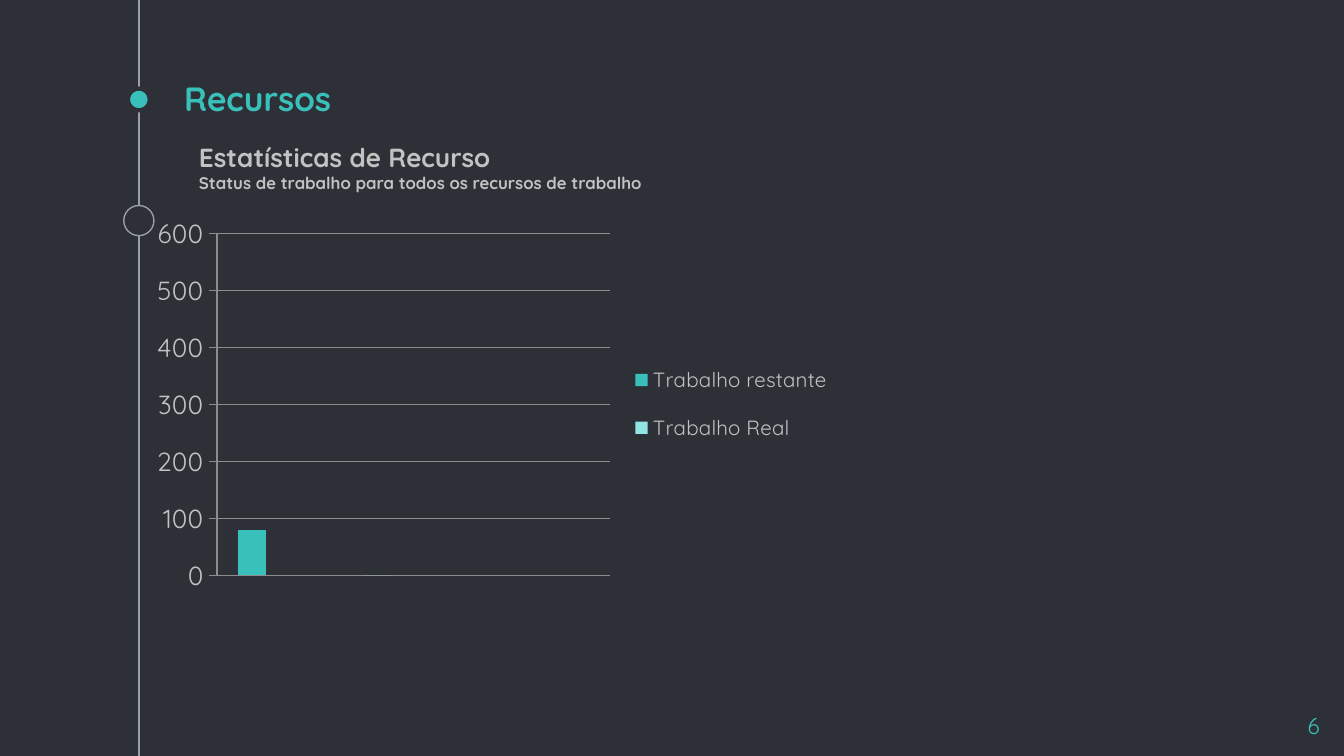
"""Build the resource statistics slide."""
import dataclasses

import lxml.etree
import pptx
import pptx.chart.data
import pptx.dml.color
import pptx.enum.chart
import pptx.enum.shapes
import pptx.enum.text
import pptx.oxml
import pptx.oxml.ns
import pptx.util

Cm = pptx.util.Cm
Pt = pptx.util.Pt
Align = pptx.enum.text.PP_ALIGN
Anchor = pptx.enum.text.MSO_ANCHOR


@dataclasses.dataclass(frozen=True)
class Theme:
    """Colours, font and type sizes of the slide."""
    background: str = "2E3037"
    accent: str = "39C0BA"
    accent_light: str = "90E6E2"
    text: str = "C2C2C2"
    rail: str = "999FA9"
    grid: str = "8C8C8C"
    font: str = "Quicksand"
    title: int = 18
    heading: int = 14
    axis: int = 14
    number: int = 12
    legend: int = 11
    caption: int = 9


THEME = Theme()


def rgb(code):
    """Turn a hex code into a colour."""
    return pptx.dml.color.RGBColor.from_string(code)


def style_font(font, size, color, bold=False):
    """Apply the theme font with a size, colour and weight."""
    font.name = THEME.font
    font.size = Pt(size)
    font.bold = bold
    font.color.rgb = rgb(color)


def style_line(line, color, width):
    """Give a line a solid colour and a width in points."""
    line.color.rgb = rgb(color)
    line.width = Pt(width)


def add_text(slide, box, lines, color, bold=False, vertical_margin=0.25,
             anchor=Anchor.TOP, alignment=Align.LEFT):
    """Place a text box with one paragraph per (text, size) pair."""
    shape = slide.shapes.add_textbox(*map(Cm, box))
    text_frame = shape.text_frame
    text_frame.word_wrap = True
    text_frame.vertical_anchor = anchor
    text_frame.margin_left = text_frame.margin_right = Cm(0.25)
    text_frame.margin_top = text_frame.margin_bottom = Cm(vertical_margin)
    text_frame.text = "\n".join(text for text, size in lines)
    for paragraph, (text, size) in zip(text_frame.paragraphs, lines):
        paragraph.alignment = alignment
        style_font(paragraph.runs[0].font, size, color, bold)


def add_circle(slide, center_x, center_y, diameter, fill, outline, width):
    """Place a circle around a centre point."""
    left, top = center_x - diameter / 2, center_y - diameter / 2
    circle = slide.shapes.add_shape(
        pptx.enum.shapes.MSO_SHAPE.OVAL,
        Cm(left), Cm(top), Cm(diameter), Cm(diameter))
    circle.shadow.inherit = False
    circle.fill.solid()
    circle.fill.fore_color.rgb = rgb(fill)
    style_line(circle.line, outline, width)


def add_timeline(slide, box):
    """Draw the vertical rail in the middle of the box with its two markers."""
    left, top, width, height = box
    center = left + width / 2
    rail = slide.shapes.add_connector(
        pptx.enum.shapes.MSO_CONNECTOR.STRAIGHT,
        Cm(center), Cm(top), Cm(center), Cm(top + height))
    style_line(rail.line, THEME.rail, 0.75)
    lxml.etree.SubElement(rail._element.spPr, pptx.oxml.ns.qn("a:effectLst"))
    add_circle(slide, center, top + 1.88, 0.41,
               THEME.accent, THEME.background, 2.25)
    add_circle(slide, center, top + 4.17, 0.57,
               THEME.background, THEME.rail, 0.75)


def set_layout(parent, before, inner, **fractions):
    """Fix the position of a chart part as fractions of the chart."""
    for layout in parent.findall(pptx.oxml.ns.qn("c:layout")):
        parent.remove(layout)
    target = '<c:layoutTarget val="inner"/>' if inner else ""
    modes = '<c:xMode val="edge"/><c:yMode val="edge"/>'
    values = "".join(f'<c:{key} val="{value}"/>'
                     for key, value in fractions.items())
    layout = pptx.oxml.parse_xml(
        f'<c:layout {pptx.oxml.ns.nsdecls("c")}><c:manualLayout>'
        f'{target}{modes}{values}</c:manualLayout></c:layout>')
    parent.find(pptx.oxml.ns.qn(before)).addprevious(layout)


def add_work_chart(slide, box):
    """Place the column chart of remaining and actual work."""
    data = pptx.chart.data.CategoryChartData()
    data.categories = ["1", "2", "3", "4"]
    data.add_series("Trabalho restante", (80, None, None, None))
    data.add_series("Trabalho Real", (None, 0, None, None))
    chart = slide.shapes.add_chart(
        pptx.enum.chart.XL_CHART_TYPE.COLUMN_CLUSTERED,
        *map(Cm, box), data).chart
    chart.has_title = False
    style_font(chart.font, THEME.axis, THEME.text)

    plot = chart.plots[0]
    plot.vary_by_categories = False
    plot.gap_width = 150
    plot.overlap = 0
    for series, color in zip(plot.series, (THEME.accent, THEME.accent_light)):
        series.invert_if_negative = False
        series.format.fill.solid()
        series.format.fill.fore_color.rgb = rgb(color)

    chart.category_axis.visible = False
    axis = chart.value_axis
    axis.minimum_scale, axis.maximum_scale, axis.major_unit = 0, 600, 100
    axis.major_tick_mark = pptx.enum.chart.XL_TICK_MARK.OUTSIDE
    axis.has_major_gridlines = True
    style_line(axis.major_gridlines.format.line, THEME.grid, 0.75)
    style_line(axis.format.line, THEME.grid, 0.75)
    style_font(axis.tick_labels.font, THEME.axis, THEME.text)

    chart.has_legend = True
    chart.legend.position = pptx.enum.chart.XL_LEGEND_POSITION.RIGHT
    chart.legend.include_in_layout = False
    style_font(chart.legend.font, THEME.legend, THEME.text)
    set_layout(chart.legend._element, "c:overlay", False,
               x=0.67, y=0.35, w=0.32, h=0.3)
    set_layout(chart._chartSpace.chart.plotArea, "c:barChart", True,
               x=0.105, y=0.064, w=0.554, h=0.875)


def main():
    """Assemble and save the presentation."""
    presentation = pptx.Presentation()
    presentation.slide_width = Cm(25.4)
    presentation.slide_height = Cm(14.29)
    slide = presentation.slides.add_slide(presentation.slide_layouts[6])
    slide.background.fill.solid()
    slide.background.fill.fore_color.rgb = rgb(THEME.background)

    add_timeline(slide, (2.34, 0, 0.57, 14.29))
    add_text(slide, (3.23, 1.52, 19.05, 0.97), [("Recursos", THEME.title)],
             THEME.accent, bold=True, anchor=Anchor.BOTTOM)
    add_text(slide, (23.67, 13.21, 1.52, 0.86), [("6", THEME.number)],
             THEME.accent, alignment=Align.RIGHT)
    add_work_chart(slide, (2.69, 3.94, 13.41, 7.39))
    add_text(slide, (3.51, 2.54, 11.61, 1.24),
             [("Estatísticas de Recurso", THEME.heading),
              ("Status de trabalho para todos os recursos de trabalho",
               THEME.caption)],
             THEME.text, bold=True, vertical_margin=0.13)
    presentation.save("out.pptx")


if __name__ == "__main__":
    main()
